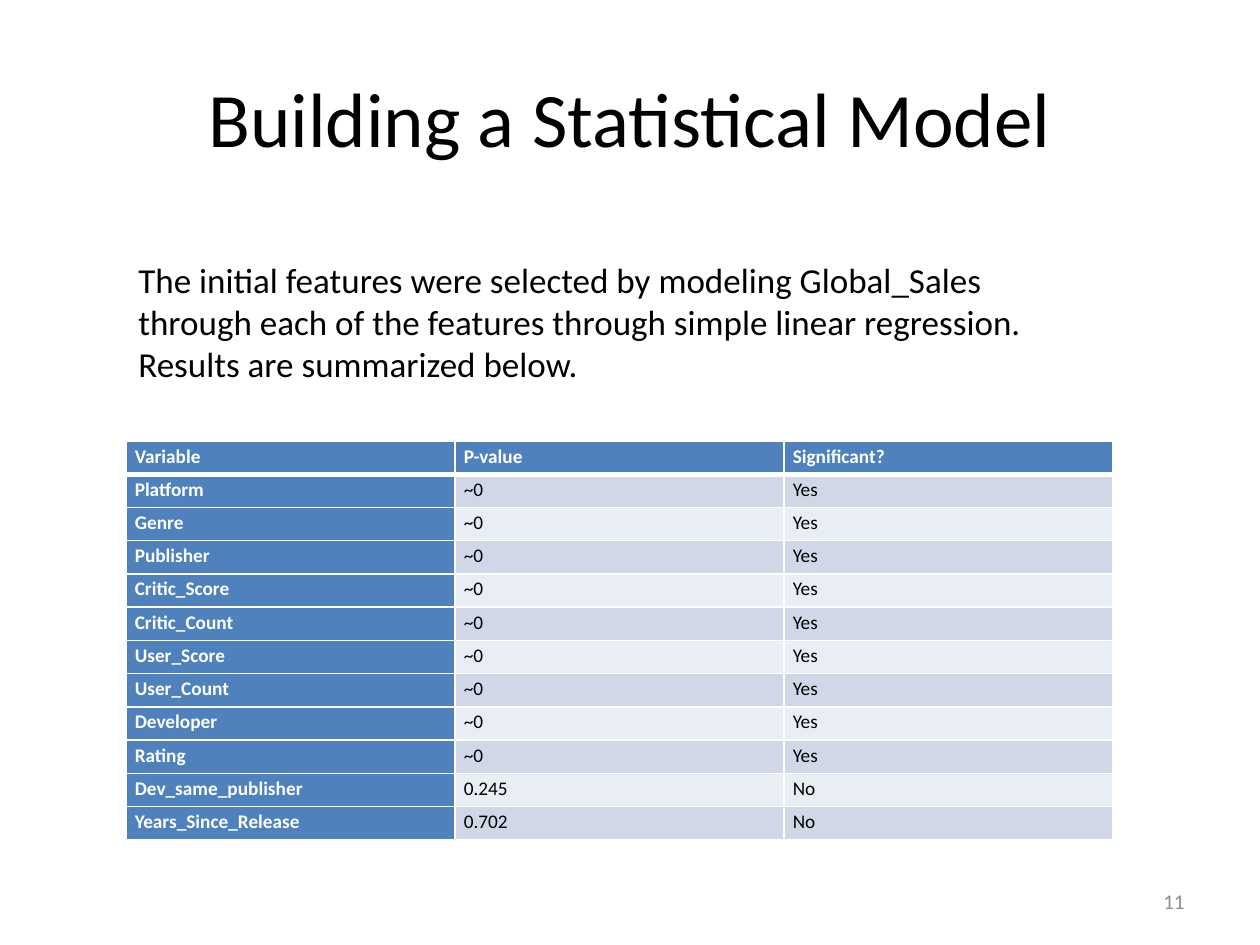
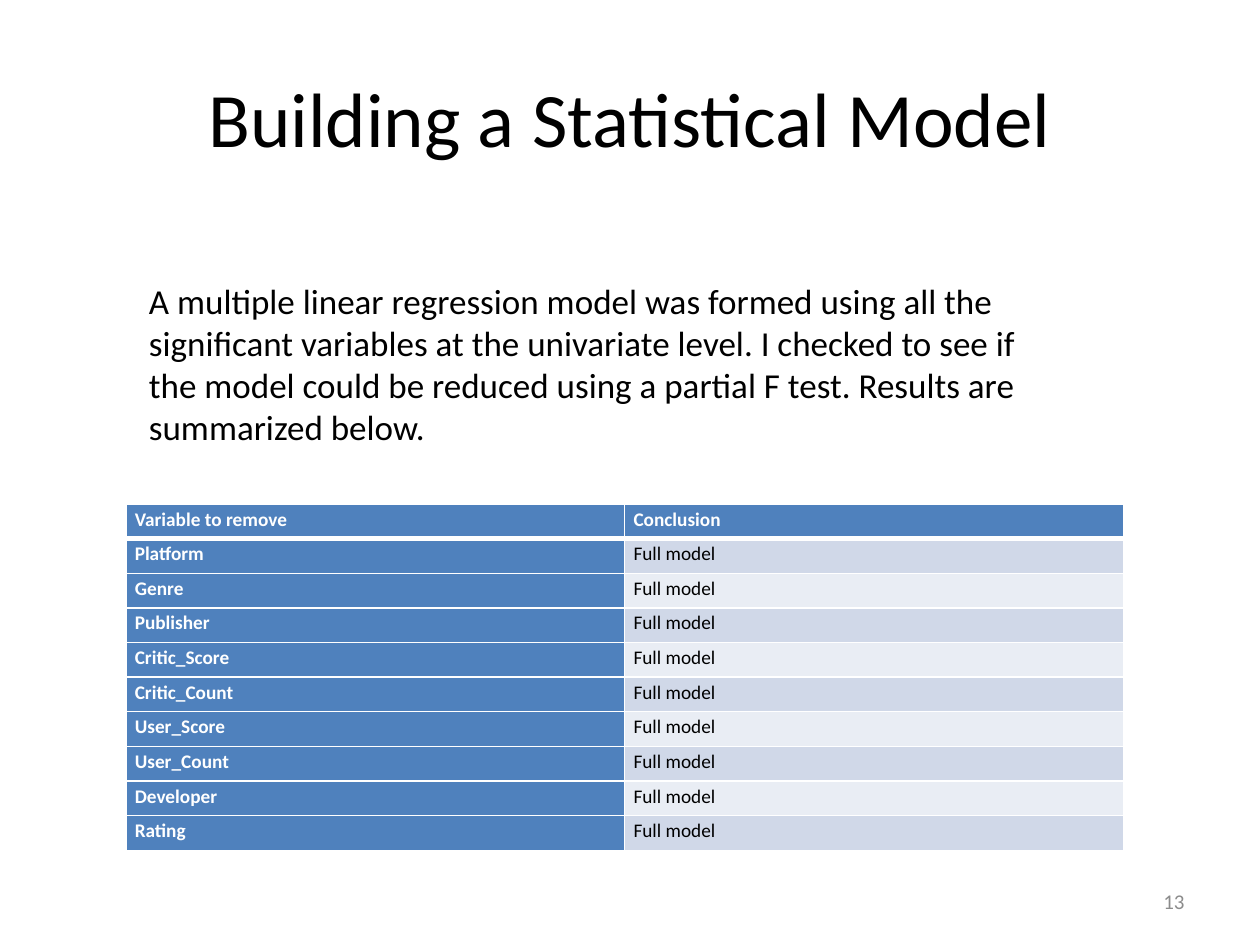
from dataclasses import dataclass

from lxml.etree import SubElement
from pptx import Presentation
from pptx.dml.color import RGBColor
from pptx.enum.text import MSO_ANCHOR as Anchor, PP_ALIGN as Align
from pptx.oxml.ns import qn
from pptx.util import Inches, Pt

# Shared look
COLORS = {
    "text": "000000",
    "number": "8C8C8C",
    "accent": "4F81BD",
    "band_dark": "D0D8E8",
    "band_light": "E9EDF4",
    "white": "FFFFFF",
}
FONT = "Calibri"
TITLE = "Building a Statistical Model"
TITLE_ONLY = 5

# Page grid: 120 columns by 90 rows of square units
PAGE_WIDTH, PAGE_HEIGHT = Inches(10), Inches(7.5)
COLUMNS, ROWS = 120, 90


@dataclass(frozen=True)
class Area:
    column: float
    row: float
    width: float
    height: float

    def lengths(self) -> dict:
        return {
            "left": round(self.column * PAGE_WIDTH / COLUMNS),
            "top": round(self.row * PAGE_HEIGHT / ROWS),
            "width": round(self.width * PAGE_WIDTH / COLUMNS),
            "height": round(self.height * PAGE_HEIGHT / ROWS),
        }


@dataclass(frozen=True)
class TextStyle:
    size: float
    color: str = "text"
    bold: bool = False
    align: Align = Align.LEFT
    anchor: Anchor = Anchor.TOP
    spacing: float = 1.0


@dataclass(frozen=True)
class ModelPage:
    number: int
    intro: str
    intro_area: Area
    table_area: Area
    records: list


TITLE_AREA = Area(6, 3.6, 108, 15)
NUMBER_AREA = Area(86, 83.4, 28, 4.8)
TITLE_STYLE = TextStyle(44, align=Align.CENTER, anchor=Anchor.MIDDLE)
INTRO_STYLE = TextStyle(20)
NUMBER_STYLE = TextStyle(12, "number", align=Align.RIGHT, anchor=Anchor.MIDDLE)
LABEL_STYLE = TextStyle(11, "white", bold=True, spacing=1.15)
VALUE_STYLE = TextStyle(11, spacing=1.15)
CELL_MARGINS = {
    "margin_left": Inches(0.07),
    "margin_right": Inches(0.07),
    "margin_top": 0,
    "margin_bottom": 0,
}


def set_attributes(target, values: dict) -> None:
    for name, value in values.items():
        setattr(target, name, value)


def write(frame, text: str, style: TextStyle) -> None:
    set_attributes(frame, {"word_wrap": True, "vertical_anchor": style.anchor})
    para = frame.paragraphs[0]
    set_attributes(para, {"alignment": style.align, "line_spacing": style.spacing})
    span = para.add_run()
    span.text = text
    set_attributes(span.font, {"name": FONT, "size": Pt(style.size), "bold": style.bold})
    span.font.color.rgb = RGBColor.from_string(COLORS[style.color])


def add_text(page, area: Area, text: str, style: TextStyle) -> None:
    box = page.shapes.add_textbox(**area.lengths())
    write(box.text_frame, text, style)


def add_title(page) -> None:
    title = page.shapes.title
    set_attributes(title, TITLE_AREA.lengths())
    write(title.text_frame, TITLE, TITLE_STYLE)


def draw_borders(cell, row: int) -> None:
    """White rules, thick between the header and the body."""
    widths = {"lnL": 1, "lnR": 1, "lnT": 3 if row == 1 else 1, "lnB": 3 if row == 0 else 1}
    properties = cell._tc.get_or_add_tcPr()
    for side, width in widths.items():
        line = SubElement(properties, qn(f"a:{side}"), w=str(Pt(width)))
        fill = SubElement(line, qn("a:solidFill"))
        SubElement(fill, qn("a:srgbClr"), val=COLORS["white"])


def add_results(page, area: Area, records: list) -> None:
    lengths = area.lengths()
    table = page.shapes.add_table(len(records), len(records[0]), **lengths).table
    for column in table.columns:
        column.width = round(lengths["width"] / len(records[0]))
    for row, record in enumerate(records):
        table.rows[row].height = round(lengths["height"] / len(records))
        band = "band_dark" if row % 2 else "band_light"
        for column, text in enumerate(record):
            is_label = row == 0 or column == 0
            cell = table.cell(row, column)
            set_attributes(cell, CELL_MARGINS)
            draw_borders(cell, row)
            cell.fill.solid()
            cell.fill.fore_color.rgb = RGBColor.from_string(
                COLORS["accent" if is_label else band])
            write(cell.text_frame, text, LABEL_STYLE if is_label else VALUE_STYLE)


def add_page(deck, content: ModelPage) -> None:
    page = deck.slides.add_slide(deck.slide_layouts[TITLE_ONLY])
    add_title(page)
    add_results(page, content.table_area, content.records)
    add_text(page, content.intro_area, content.intro, INTRO_STYLE)
    add_text(page, NUMBER_AREA, str(content.number), NUMBER_STYLE)


# Content
SIGNIFICANT = ["Platform", "Genre", "Publisher", "Critic_Score", "Critic_Count",
               "User_Score", "User_Count", "Developer", "Rating"]
PAGES = [
    ModelPage(
        number=11,
        intro="The initial features were selected by modeling Global_Sales through each "
              "of the features through simple linear regression. Results are summarized "
              "below.",
        intro_area=Area(12, 24, 91, 13.3),
        table_area=Area(12, 42, 94, 38),
        records=[
            ("Variable", "P-value", "Significant?"),
            *[(name, "~0", "Yes") for name in SIGNIFICANT],
            ("Dev_same_publisher", "0.245", "No"),
            ("Years_Since_Release", "0.702", "No"),
        ],
    ),
    ModelPage(
        number=13,
        intro="A multiple linear regression model was formed using all the significant "
              "variables at the univariate level. I checked to see if the model could be "
              "reduced using a partial F test. Results are summarized below.",
        intro_area=Area(13, 26, 88, 17.4),
        table_area=Area(12, 48, 95, 33),
        records=[
            ("Variable to remove", "Conclusion"),
            *[(name, "Full model") for name in SIGNIFICANT],
        ],
    ),
]

# Build the deck
deck = Presentation()
set_attributes(deck, {"slide_width": PAGE_WIDTH, "slide_height": PAGE_HEIGHT})
for content in PAGES:
    add_page(deck, content)
deck.save("out.pptx")
